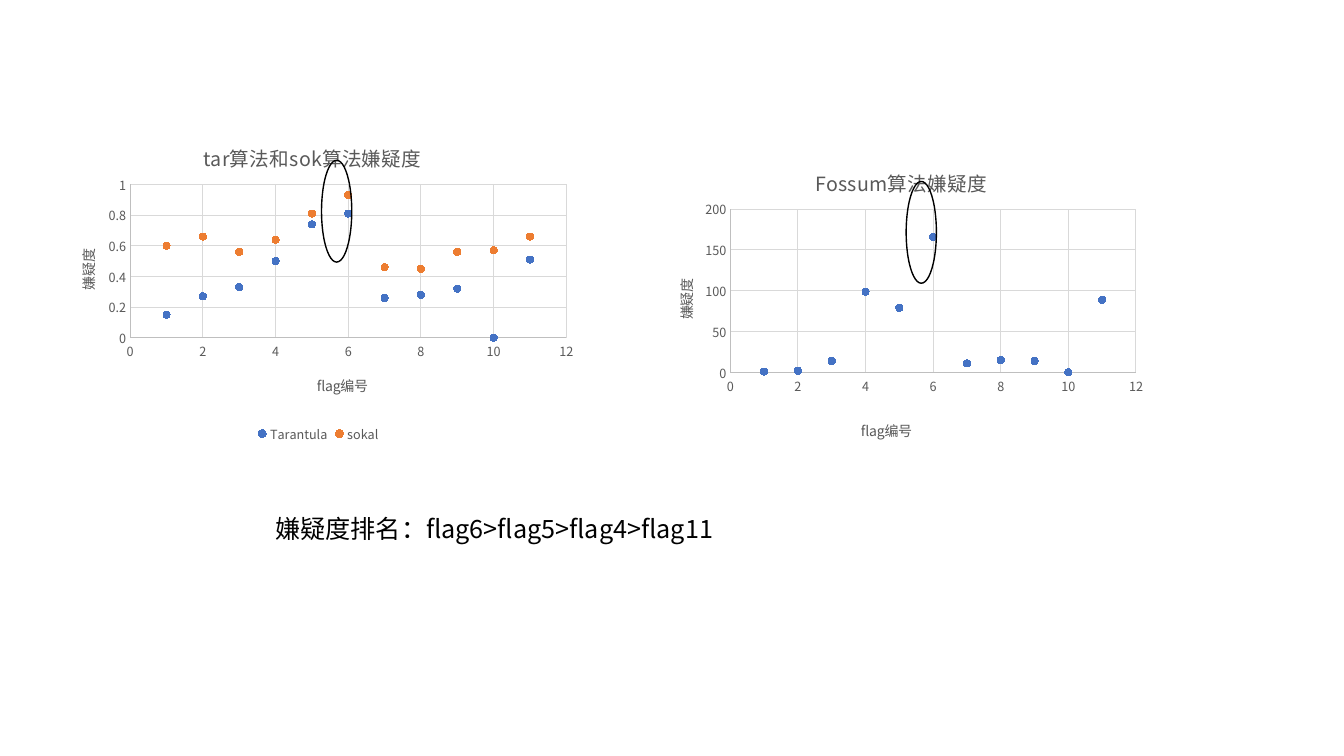
"""Build a slide with two scatter charts of suspicion scores and a ranking."""
from lxml import etree
from pptx import Presentation
from pptx import util as u
from pptx.chart.data import XyChartData
from pptx.dml.color import RGBColor
from pptx.enum import chart as ch, shapes, text
from pptx.oxml.ns import qn

FACE = "Noto Sans CJK SC"
GREY, GRID, AXIS, BLACK = "595959", "D9D9D9", "BFBFBF", "000000"
HUES = ["4472C4", "ED7D31"]
CHARTS = [
    dict(title="tar算法和sok算法嫌疑度", box=(37.5, 85, 380, 234), top=1, step=0.2,
         plot=(0.146, 0.2, 0.82, 0.468), spots=[(0.277, 0.058), (0.492, 0.77), (0.041, 0.39)],
         legend=True, data={
             "Tarantula": [0.15, 0.27, 0.33, 0.5, 0.74, 0.81, 0.26, 0.28, 0.32, 0, 0.51],
             "sokal": [0.6, 0.66, 0.56, 0.64, 0.81, 0.93, 0.46, 0.45, 0.56, 0.57, 0.66]}),
    dict(title="Fossum算法嫌疑度", box=(463.7, 103, 360, 216), top=200, step=50,
         plot=(0.161, 0.215, 0.805, 0.54), spots=[(0.323, 0.06), (0.415, 0.9), (0.046, 0.437)],
         legend=False, data={"Series 1": [1, 2, 14, 99, 79, 166, 11, 15, 14, 0, 89]}),
]
RINGS = [(229.7, 114.5), (647.3, 129.6)]
RING = (21.6, 72.7)
RANK = "嫌疑度排名：flag6>flag5>flag4>flag11"
RANKBOX = (189.4, 362.9, 534, 28.8)


def color(code):
    return RGBColor.from_string(code)


def pts(nums):
    return [u.Pt(n) for n in nums]


def style(font, size, hue):
    font.size, font.name, font.bold = u.Pt(size), FACE, False
    font.color.rgb = color(hue)


def write(frame, words, size=10, hue=GREY):
    run = frame.paragraphs[0].add_run()
    run.text = words
    style(run.font, size, hue)


def stroke(line, hue, width=0.75):
    line.color.rgb = color(hue)
    line.width = u.Pt(width)


def place(node, index, nums):
    """Give a chart part a fixed place, as fractions of the chart."""
    for old in node.findall(qn("c:layout")):
        node.remove(old)
    layout = etree.Element(qn("c:layout"))
    node.insert(index, layout)
    manual = etree.SubElement(layout, qn("c:manualLayout"))
    pairs = [("xMode", "edge"), ("yMode", "edge"), *zip("xywh", nums)]
    if len(nums) == 4:
        pairs.insert(0, ("layoutTarget", "inner"))
    for tag, val in pairs:
        etree.SubElement(manual, qn("c:" + tag)).set("val", str(val))


def match(root):
    """Use each Latin typeface for East Asian text as well."""
    for latin in list(root.iter(qn("a:latin"))):
        east = etree.Element(qn("a:ea"))
        east.set("typeface", FACE)
        latin.addnext(east)


def plot(slide, title, box, top, step, plot, spots, legend, data):
    table = XyChartData()
    for name, vals in data.items():
        line = table.add_series(name)
        for flag, val in enumerate(vals, 1):
            line.add_data_point(flag, val)
    chart = slide.shapes.add_chart(ch.XL_CHART_TYPE.XY_SCATTER, *pts(box), table).chart
    style(chart.font, 10, BLACK)
    chart.has_title = True
    write(chart.chart_title.text_frame, title, size=14)
    chart.chart_title.include_in_layout = False
    chart.has_legend = legend
    if legend:
        chart.legend.position = ch.XL_LEGEND_POSITION.BOTTOM
        chart.legend.include_in_layout = False
        style(chart.legend.font, 9, GREY)
    titles = [chart.chart_title]
    axes = [(chart.category_axis, "flag编号", 12, 2), (chart.value_axis, "嫌疑度", top, step)]
    for axis, words, high, unit in axes:
        axis.minimum_scale, axis.maximum_scale, axis.major_unit = 0, high, unit
        axis.major_tick_mark = axis.minor_tick_mark = ch.XL_TICK_MARK.NONE
        axis.has_major_gridlines = True
        stroke(axis.major_gridlines.format.line, GRID)
        stroke(axis.format.line, AXIS)
        style(axis.tick_labels.font, 9, GREY)
        axis.tick_labels.number_format = "General"
        axis.tick_labels.number_format_is_linked = False
        write(axis.axis_title.text_frame, words)
        titles.append(axis.axis_title)
    chart.value_axis.axis_title.text_frame._txBody.bodyPr.set("rot", "-5400000")
    for part, spot in zip(titles, spots):
        place(part._element, 1, spot)
    place(chart._chartSpace.chart.plotArea, 0, plot)
    chart.plots[0].vary_by_categories = False
    for line, hue in zip(chart.plots[0].series, HUES):
        line.smooth = False
        line.format.line.fill.background()
        line.marker.style, line.marker.size = ch.XL_MARKER_STYLE.CIRCLE, 5
        line.marker.format.fill.solid()
        line.marker.format.fill.fore_color.rgb = color(hue)
        stroke(line.marker.format.line, hue)
    match(chart._chartSpace)


def main():
    deck = Presentation()
    deck.slide_width, deck.slide_height = pts((960, 540))
    slide = deck.slides.add_slide(deck.slide_layouts[6])
    for item in CHARTS:
        plot(slide, **item)
    for spot in RINGS:
        ring = slide.shapes.add_shape(shapes.MSO_SHAPE.OVAL, *pts(spot + RING))
        ring.shadow.inherit = False
        ring.fill.background()
        stroke(ring.line, BLACK, 1)
    rank = slide.shapes.add_textbox(*pts(RANKBOX))
    rank.text_frame.word_wrap = True
    rank.text_frame.auto_size = text.MSO_AUTO_SIZE.SHAPE_TO_FIT_TEXT
    write(rank.text_frame, RANK, size=18, hue=BLACK)
    match(rank._element)
    deck.save("out.pptx")


if __name__ == "__main__":
    main()
